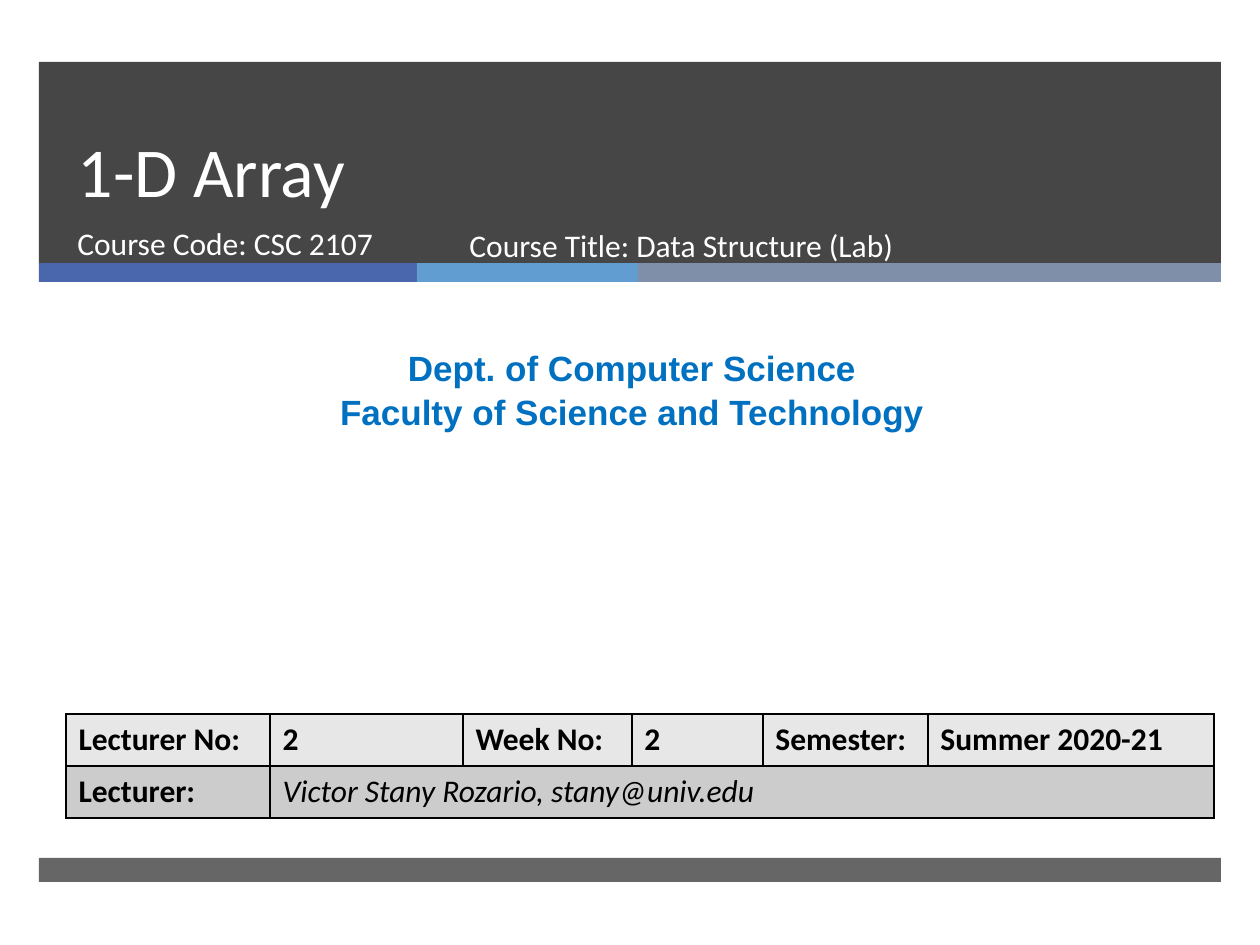
from lxml import etree
from pptx import Presentation
from pptx.dml.color import RGBColor
from pptx.enum.shapes import MSO_SHAPE
from pptx.enum.text import MSO_ANCHOR, PP_ALIGN
from pptx.oxml.ns import qn
from pptx.util import Emu, Pt

RECT = MSO_SHAPE.RECTANGLE
BOTTOM = MSO_ANCHOR.BOTTOM
TOP = MSO_ANCHOR.TOP
LEFT = PP_ALIGN.LEFT
CENTER = PP_ALIGN.CENTER

DARK = RGBColor(0x26, 0x26, 0x26)
INDIGO = RGBColor(0x4A, 0x66, 0xAC)
SKY = RGBColor(0x62, 0x9D, 0xD1)
STEEL = RGBColor(0x7F, 0x8F, 0xA9)
BLUE = RGBColor(0x00, 0x70, 0xC0)
WHITE = RGBColor(0xFF, 0xFF, 0xFF)
BLACK = RGBColor(0x00, 0x00, 0x00)
LIGHT = RGBColor(0xE7, 0xE7, 0xE7)
GREY = RGBColor(0xCC, 0xCC, 0xCC)

SCALE = 914400 / 126


def px(n):
    return Emu(round(n * SCALE))


class Deck:
    font = "Calibri"
    size = 18

    def __init__(self, wide, high):
        self.file = Presentation()
        self.file.slide_width, self.file.slide_height = px(wide), px(high)
        self.slide = self.file.slides.add_slide(self.file.slide_layouts[5])
        self.shapes = self.slide.shapes

    def style(self, frame, color, size=None, font=None, bold=False,
              italic=False, align=LEFT, lead=None):
        for para in frame.paragraphs:
            para.alignment = align
            if lead:
                para.line_spacing = lead
            for run in para.runs:
                face = run.font
                face.name = font or self.font
                face.size = Pt(size or self.size)
                face.bold, face.italic = bold, italic
                face.color.rgb = color

    def bar(self, x, y, w, h, color, alpha=100):
        """Add a plain rectangle; alpha is its opacity in percent."""
        bar = self.shapes.add_shape(RECT, px(x), px(y), px(w), px(h))
        bar.shadow.inherit = False
        bar.line.fill.background()
        bar.fill.solid()
        bar.fill.fore_color.rgb = color
        if alpha < 100:
            tint = bar.fill._xPr.find(".//" + qn("a:srgbClr"))
            etree.SubElement(tint, qn("a:alpha"), val=str(alpha * 1000))

    def title(self, x, y, w, h, text, color, **look):
        head = self.shapes.title
        head.left, head.top, head.width, head.height = map(px, (x, y, w, h))
        # Bring the title in front of the bars
        self.shapes._spTree.append(head._element)
        frame = head.text_frame
        frame.text = text
        frame.vertical_anchor = BOTTOM
        self.style(frame, color, **look)

    def text(self, x, y, w, h, text, color, **look):
        frame = self.shapes.add_textbox(px(x), px(y), px(w), px(h)).text_frame
        frame.word_wrap = True
        frame.vertical_anchor = TOP
        frame.text = text
        self.style(frame, color, **look)

    def border(self, cell, color, width):
        props = cell._tc.get_or_add_tcPr()
        for spot, tag in enumerate(("a:lnL", "a:lnR", "a:lnT", "a:lnB")):
            line = etree.Element(qn(tag), w=str(Pt(width)))
            fill = etree.SubElement(line, qn("a:solidFill"))
            etree.SubElement(fill, qn("a:srgbClr"), val=str(color))
            props.insert(spot, line)

    def table(self, x, y, cols, high, rows, fills):
        """Add a table; a short row merges its last cell to the right edge."""
        grid = self.shapes.add_table(len(rows), len(cols), px(x), px(y),
                                     px(sum(cols)), px(high * len(rows))).table
        for col, wide in zip(grid.columns, cols):
            col.width = px(wide)
        for r, (row, fill) in enumerate(zip(rows, fills)):
            grid.rows[r].height = px(high)
            if len(row) < len(cols):
                grid.cell(r, len(row) - 1).merge(grid.cell(r, len(cols) - 1))
            for c in range(len(cols)):
                cell = grid.cell(r, c)
                cell.fill.solid()
                cell.fill.fore_color.rgb = fill
                self.border(cell, BLACK, 1)
                if c < len(row):
                    cell.text_frame.text = row[c]
                    note = r > 0 and c > 0
                    self.style(cell.text_frame, BLACK, bold=not note,
                               italic=note)

    def save(self):
        self.file.save("out.pptx")


def main():
    deck = Deck(1260, 945)
    deck.bar(39, 62, 1182, 202, DARK, 85)
    left = 39
    for wide, color in ((378, INDIGO), (221, SKY), (583, STEEL)):
        deck.bar(left, 263, wide, 19, color)
        left += wide
    deck.bar(39, 858, 1182, 24, DARK, 70)

    deck.title(65, 68, 1076, 150, "1-D Array", WHITE, size=40, lead=Pt(46))
    deck.text(65, 218, 384, 67, "Course Code: CSC 2107", WHITE)
    deck.text(457, 220, 573, 67, "Course Title: Data Structure (Lab)", WHITE)
    deck.text(10, 338, 1244, 97,
              "Dept. of Computer Science\nFaculty of Science and Technology",
              BLUE, size=20, font="Arial", bold=True, align=CENTER, lead=1.05)

    rows = (
        ("Lecturer No:", "2", "Week No:", "2", "Semester:", "Summer 2020-21"),
        ("Lecturer:", "Victor Stany Rozario, stany@univ.edu"),
    )
    deck.table(66, 714, (204, 193, 169, 131, 165, 286), 52, rows,
               (LIGHT, GREY))
    deck.save()


if __name__ == "__main__":
    main()
